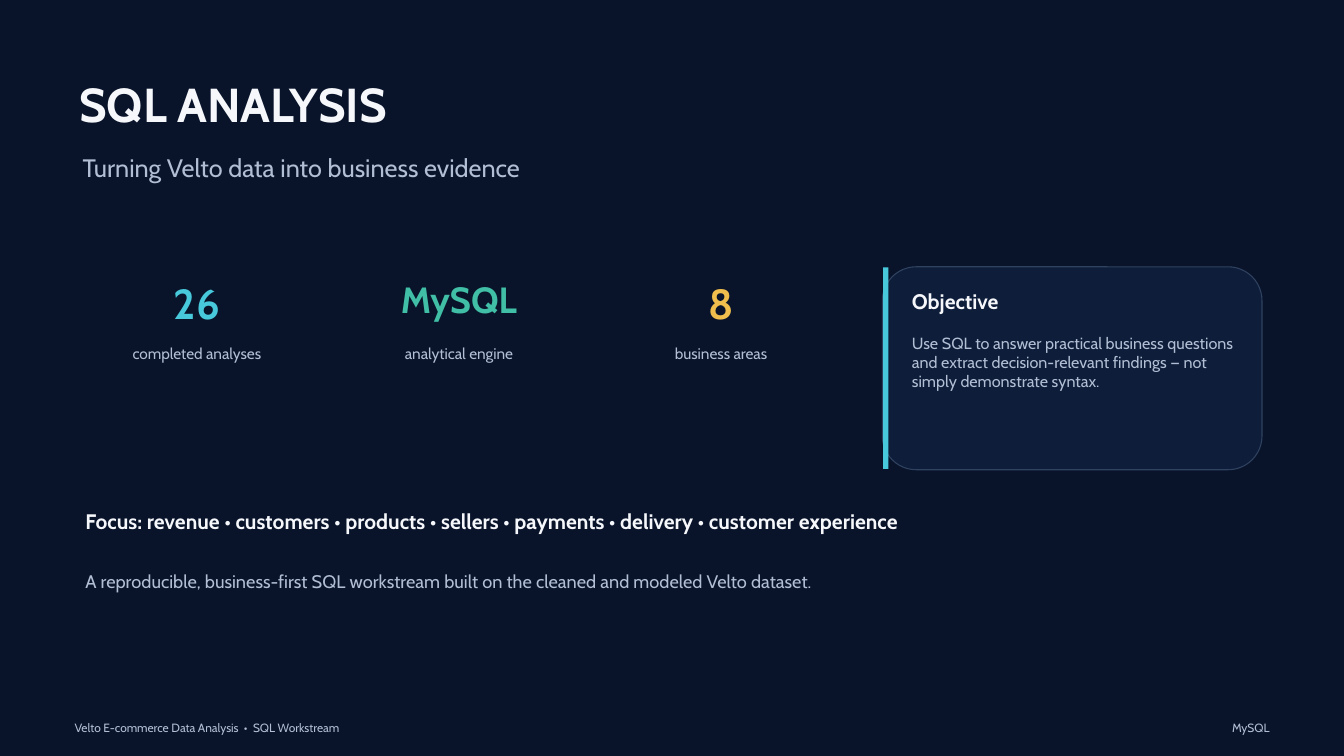
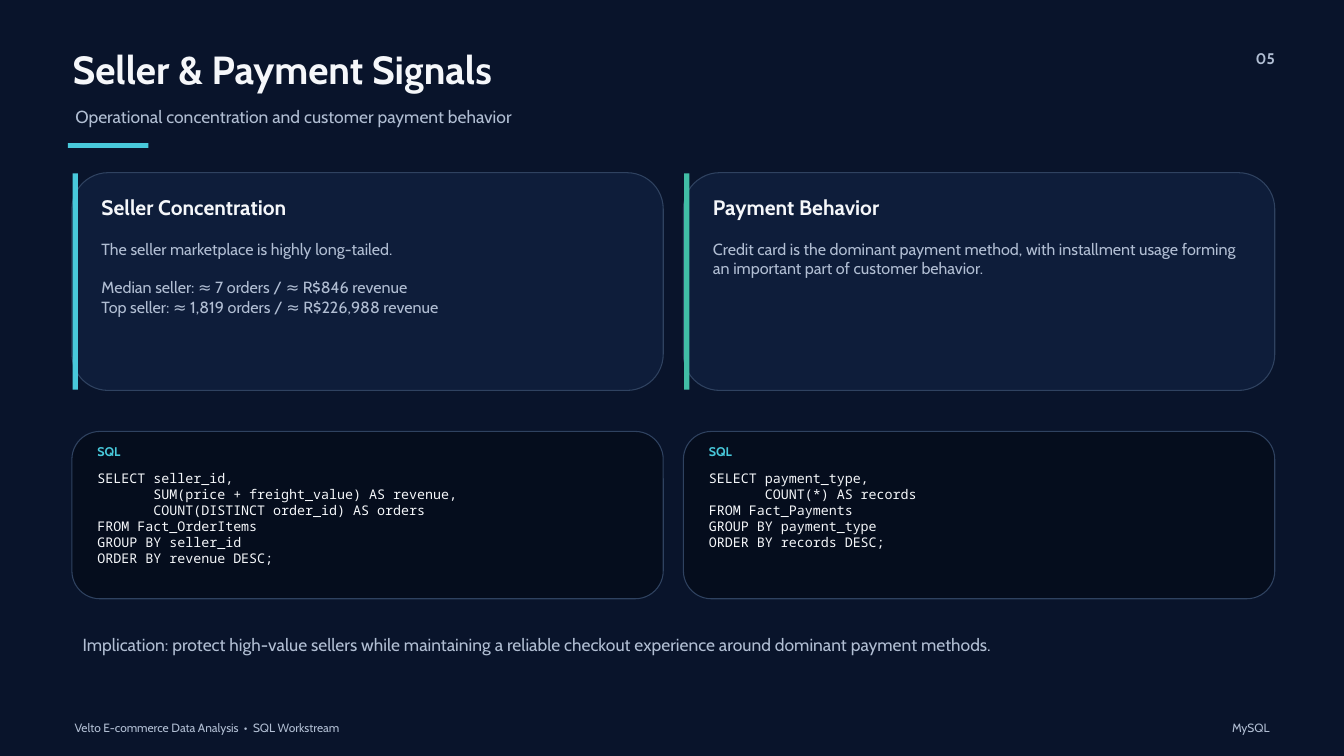
from pptx import Presentation
from pptx.dml.color import RGBColor
from pptx.enum.shapes import MSO_SHAPE
from pptx.enum.text import MSO_AUTO_SIZE, PP_ALIGN
from pptx.util import Inches, Pt

NAVY = RGBColor(0x09, 0x14, 0x2B)
PANEL = RGBColor(0x0E, 0x1D, 0x3A)
CODE_PANEL = RGBColor(0x05, 0x0D, 0x1D)
OUTLINE = RGBColor(0x2F, 0x42, 0x60)
WHITE = RGBColor(0xF5, 0xF7, 0xFA)
MUTED = RGBColor(0xB1, 0xBE, 0xD3)
CYAN = RGBColor(0x48, 0xC9, 0xDB)
TEAL = RGBColor(0x41, 0xBE, 0xA6)
AMBER = RGBColor(0xEF, 0xBE, 0x4C)

TEXT_FONT = "Cabin"
CODE_FONT = "Noto Sans Mono"
LINE_HEIGHT = 1.2

COLUMN_LEFT = 1.07
COLUMN_WIDTH = 8.8
COLUMN_GAP = 0.3

SELLER_QUERY = """SELECT seller_id,
       SUM(price + freight_value) AS revenue,
       COUNT(DISTINCT order_id) AS orders
FROM Fact_OrderItems
GROUP BY seller_id
ORDER BY revenue DESC;"""

PAYMENT_QUERY = """SELECT payment_type,
       COUNT(*) AS records
FROM Fact_Payments
GROUP BY payment_type
ORDER BY records DESC;"""


def add_text(slide, left, top, width, height, text, size, color=MUTED, bold=False,
             align=PP_ALIGN.LEFT, font=TEXT_FONT):
    """Add a text box with one paragraph per line and return its paragraphs."""
    box = slide.shapes.add_textbox(Inches(left), Inches(top), Inches(width), Inches(height))
    frame = box.text_frame
    frame.word_wrap = True
    frame.auto_size = MSO_AUTO_SIZE.SHAPE_TO_FIT_TEXT
    frame.margin_left = frame.margin_right = frame.margin_top = frame.margin_bottom = 0
    for index, line in enumerate(text.split("\n")):
        paragraph = frame.add_paragraph() if index else frame.paragraphs[0]
        paragraph.alignment = align
        paragraph.line_spacing = Pt(size * LINE_HEIGHT)
        run = paragraph.add_run()
        run.text = line
        run.font.name = font
        run.font.size = Pt(size)
        run.font.bold = bold
        run.font.color.rgb = color
    return frame.paragraphs


def add_block(slide, kind, left, top, width, height, fill, outline=None):
    shape = slide.shapes.add_shape(
        kind, Inches(left), Inches(top), Inches(width), Inches(height))
    shape.shadow.inherit = False
    shape.fill.solid()
    shape.fill.fore_color.rgb = fill
    if outline is None:
        shape.line.fill.background()
    else:
        shape.line.color.rgb = outline
        shape.line.width = Pt(1.13)


def add_card(slide, left, top, width, height, heading, body, accent):
    """Add a rounded panel with an accent bar; return the body paragraphs."""
    add_block(slide, MSO_SHAPE.ROUNDED_RECTANGLE, left, top, width, height, PANEL, OUTLINE)
    add_block(slide, MSO_SHAPE.RECTANGLE, left + 0.01, top + 0.01, 0.08, height - 0.02, accent)
    text_left, text_width = left + 0.44, width - 0.82
    add_text(slide, text_left, top + 0.33, text_width, 0.38, heading, 22.5, WHITE, bold=True)
    return add_text(slide, text_left, top + 0.99, text_width, height - 1.29, body, 17.25)


def add_code_panel(slide, left, top, width, height, code):
    add_block(slide, MSO_SHAPE.ROUNDED_RECTANGLE, left, top, width, height, CODE_PANEL, OUTLINE)
    add_text(slide, left + 0.38, top + 0.19, 0.4, 0.21, "SQL", 13.5, CYAN, bold=True)
    add_text(slide, left + 0.38, top + 0.58, width - 0.76, height - 0.79, code, 14.25, WHITE,
             font=CODE_FONT)


def add_metric(slide, left, value, label, size, color):
    add_text(slide, left + 0.3, 4.13, 2.8, 0.8, value, size, color, bold=True,
             align=PP_ALIGN.CENTER)
    add_text(slide, left, 5.12, 3.4, 0.43, label, 16.5, align=PP_ALIGN.CENTER)


def add_header(slide, title, subtitle, number):
    add_text(slide, 1.08, 0.68, 17.06, 0.73, title, 42, WHITE, bold=True)
    add_text(slide, 1.12, 1.58, 16.91, 0.43, subtitle, 18.75)
    add_text(slide, 18.34, 0.73, 0.63, 0.35, number, 16.5, bold=True, align=PP_ALIGN.RIGHT)
    add_block(slide, MSO_SHAPE.RECTANGLE, 1.01, 2.13, 1.2, 0.07, CYAN)


def add_footer(slide):
    add_text(slide, 1.11, 10.73, 12.56, 0.21,
             "Velto E-commerce Data Analysis  •  SQL Workstream", 12.75)
    add_text(slide, 17.44, 10.73, 1.45, 0.21, "MySQL", 12.75, align=PP_ALIGN.RIGHT)


def build_cover(slide):
    add_text(slide, 1.18, 1.12, 11.51, 0.89, "SQL ANALYSIS", 51, WHITE, bold=True)
    add_text(slide, 1.23, 2.27, 13.01, 0.65, "Turning Velto data into business evidence", 27)
    metrics = [
        ("26", "completed analyses", 45, CYAN),
        ("MySQL", "analytical engine", 39, TEAL),
        ("8", "business areas", 45, AMBER),
    ]
    for index, metric in enumerate(metrics):
        add_metric(slide, 1.23 + 3.9 * index, *metric)
    add_card(slide, 13.13, 3.97, 5.65, 3.02, "Objective",
             "Use SQL to answer practical business questions and extract decision-relevant "
             "findings — not simply demonstrate syntax.", CYAN)
    add_text(slide, 1.27, 7.56, 17.21, 0.73,
             "Focus: revenue • customers • products • sellers • payments • delivery • "
             "customer experience", 22.5, WHITE, bold=True)
    add_text(slide, 1.27, 8.49, 16.16, 0.58,
             "A reproducible, business-first SQL workstream built on the cleaned and modeled "
             "Velto dataset.", 19.5)
    add_footer(slide)


def build_signals(slide):
    add_header(slide, "Seller & Payment Signals",
               "Operational concentration and customer payment behavior", "05")
    columns = [
        ("Seller Concentration",
         "The seller marketplace is highly long-tailed.\n"
         "Median seller: ≈ 7 orders / ≈ R$846 revenue\n"
         "Top seller: ≈ 1,819 orders / ≈ R$226,988 revenue", CYAN, SELLER_QUERY),
        ("Payment Behavior",
         "Credit card is the dominant payment method, with installment usage forming "
         "an important part of customer behavior.", TEAL, PAYMENT_QUERY),
    ]
    for index, (heading, body, accent, query) in enumerate(columns):
        left = COLUMN_LEFT + index * (COLUMN_WIDTH + COLUMN_GAP)
        paragraphs = add_card(slide, left, 2.57, COLUMN_WIDTH, 3.24, heading, body, accent)
        if len(paragraphs) > 1:
            paragraphs[1].space_before = paragraphs[1].line_spacing
        add_code_panel(slide, left, 6.42, COLUMN_WIDTH, 2.49, query)
    add_text(slide, 1.23, 9.43, 17.36, 0.58,
             "Implication: protect high-value sellers while maintaining a reliable checkout "
             "experience around dominant payment methods.", 18.75)
    add_footer(slide)


def main():
    presentation = Presentation()
    presentation.slide_width = Inches(20)
    presentation.slide_height = Inches(11.25)
    background = presentation.slide_master.background.fill
    background.solid()
    background.fore_color.rgb = NAVY
    blank_layout = presentation.slide_layouts[6]
    for build in (build_cover, build_signals):
        build(presentation.slides.add_slide(blank_layout))
    presentation.save("out.pptx")


if __name__ == "__main__":
    main()
